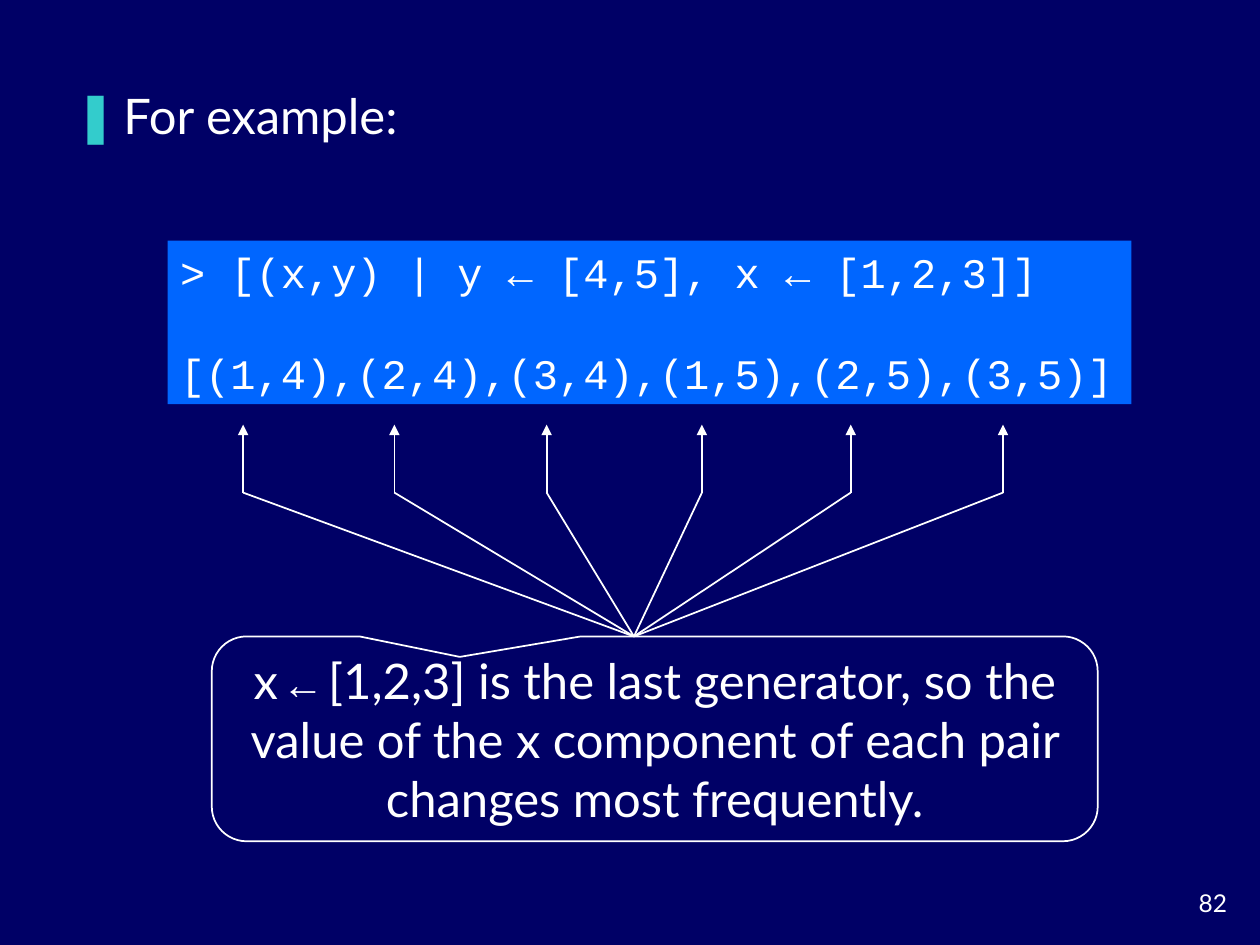
from lxml import etree
from pptx import Presentation
from pptx.dml.color import RGBColor
from pptx.enum.shapes import MSO_CONNECTOR, MSO_SHAPE
from pptx.enum.text import MSO_ANCHOR, PP_ALIGN
from pptx.oxml.ns import qn
from pptx.util import Cm, Pt

RECTANGLE = MSO_SHAPE.RECTANGLE
CALLOUT = MSO_SHAPE.ROUNDED_RECTANGULAR_CALLOUT
STRAIGHT = MSO_CONNECTOR.STRAIGHT
MIDDLE = MSO_ANCHOR.MIDDLE
LEFT, CENTER, RIGHT = PP_ALIGN.LEFT, PP_ALIGN.CENTER, PP_ALIGN.RIGHT


def color(value):
    return RGBColor.from_string(value)


class SlideBuilder:
    background = "000066"
    foreground = "FFFFFF"
    code_fill = "0066FF"
    accent = "33CCCC"
    body_font = "Lato"
    code_font = "Courier New"
    body_size = 28
    code_size = 24
    number_size = 14

    def __init__(self, presentation):
        self.slide = presentation.slides.add_slide(presentation.slide_layouts[6])
        fill = self.slide.background.fill
        fill.solid()
        fill.fore_color.rgb = color(self.background)

    def format_run(self, run, font, size):
        run.font.name = font
        run.font.size = Pt(size)
        run.font.color.rgb = color(self.foreground)

    def text(self, box, content, size, align=LEFT):
        shape = self.slide.shapes.add_textbox(*map(Cm, box))
        shape.text_frame.word_wrap = True
        paragraph = shape.text_frame.paragraphs[0]
        paragraph.text = content
        paragraph.alignment = align
        self.format_run(paragraph.runs[0], self.body_font, size)
        return paragraph

    def bullet(self, box, content):
        paragraph = self.text(box, content, self.body_size)
        properties = paragraph._p.get_or_add_pPr()
        properties.set("marL", str(Cm(0.97)))
        properties.set("indent", str(Cm(-0.97)))
        bullet_color = etree.SubElement(properties, qn("a:buClr"))
        etree.SubElement(bullet_color, qn("a:srgbClr"), val=self.accent)
        etree.SubElement(properties, qn("a:buFont"), typeface=self.body_font)
        etree.SubElement(properties, qn("a:buChar"), char="❚")

    def shape(self, kind, box):
        shape = self.slide.shapes.add_shape(kind, *map(Cm, box))
        shape.shadow.inherit = False
        shape.text_frame.vertical_anchor = MIDDLE
        return shape

    def code(self, box, content, gap):
        shape = self.shape(RECTANGLE, box)
        shape.fill.solid()
        shape.fill.fore_color.rgb = color(self.code_fill)
        shape.line.fill.background()
        frame = shape.text_frame
        frame.word_wrap = False
        frame.text = content
        for index, paragraph in enumerate(frame.paragraphs):
            paragraph.alignment = LEFT
            if index:
                paragraph.space_before = Pt(gap)
            self.format_run(paragraph.runs[0], self.code_font, self.code_size)

    def callout(self, box, adjustments, before, symbol, after):
        shape = self.shape(CALLOUT, box)
        for index, value in enumerate(adjustments):
            shape.adjustments[index] = value
        shape.fill.background()
        shape.line.color.rgb = color(self.foreground)
        shape.line.width = Pt(1)
        shape.text_frame.word_wrap = True
        paragraph = shape.text_frame.paragraphs[0]
        paragraph.alignment = CENTER
        body = (self.body_font, self.body_size)
        code = (self.code_font, self.code_size)
        for content, style in ((before, body), (symbol, code), (after, body)):
            run = paragraph.add_run()
            run.text = content
            self.format_run(run, *style)

    def line(self, start, end, arrow=False):
        connector = self.slide.shapes.add_connector(STRAIGHT, *map(Cm, start + end))
        connector.line.color.rgb = color(self.foreground)
        connector.line.width = Pt(1)
        if arrow:
            etree.SubElement(connector.line._get_or_add_ln(), qn("a:tailEnd"), type="triangle")
        etree.SubElement(connector._element.spPr, qn("a:effectLst"))


def main():
    presentation = Presentation()
    presentation.slide_width = Cm(25.4)
    presentation.slide_height = Cm(19.05)
    builder = SlideBuilder(presentation)

    builder.text((23.29, 17.78, 1.7, 0.84), "82", builder.number_size, RIGHT)
    builder.code(
        (3.38, 4.85, 19.43, 3.3),
        "> [(x,y) | y ← [4,5], x ← [1,2,3]]\n[(1,4),(2,4),(3,4),(1,5),(2,5),(3,5)]",
        gap=29,
    )
    builder.bullet((1.27, 1.6, 7.9, 1.65), "For example:")
    builder.callout(
        (4.27, 12.83, 17.86, 4.13),
        (-0.22, -0.4, 0.17),
        "x ",
        "←",
        " [1,2,3] is the last generator, so the value of the x component "
        "of each pair changes most frequently.",
    )

    apex = (12.78, 12.83)
    arrow_top, arrow_bottom = 8.56, 9.93
    for pair_x in (4.9, 7.95, 11.02, 14.15, 17.15, 20.22):
        builder.line((pair_x, arrow_bottom), (pair_x, arrow_top), arrow=True)
        builder.line(apex, (pair_x, arrow_bottom))

    presentation.save("out.pptx")


if __name__ == "__main__":
    main()
